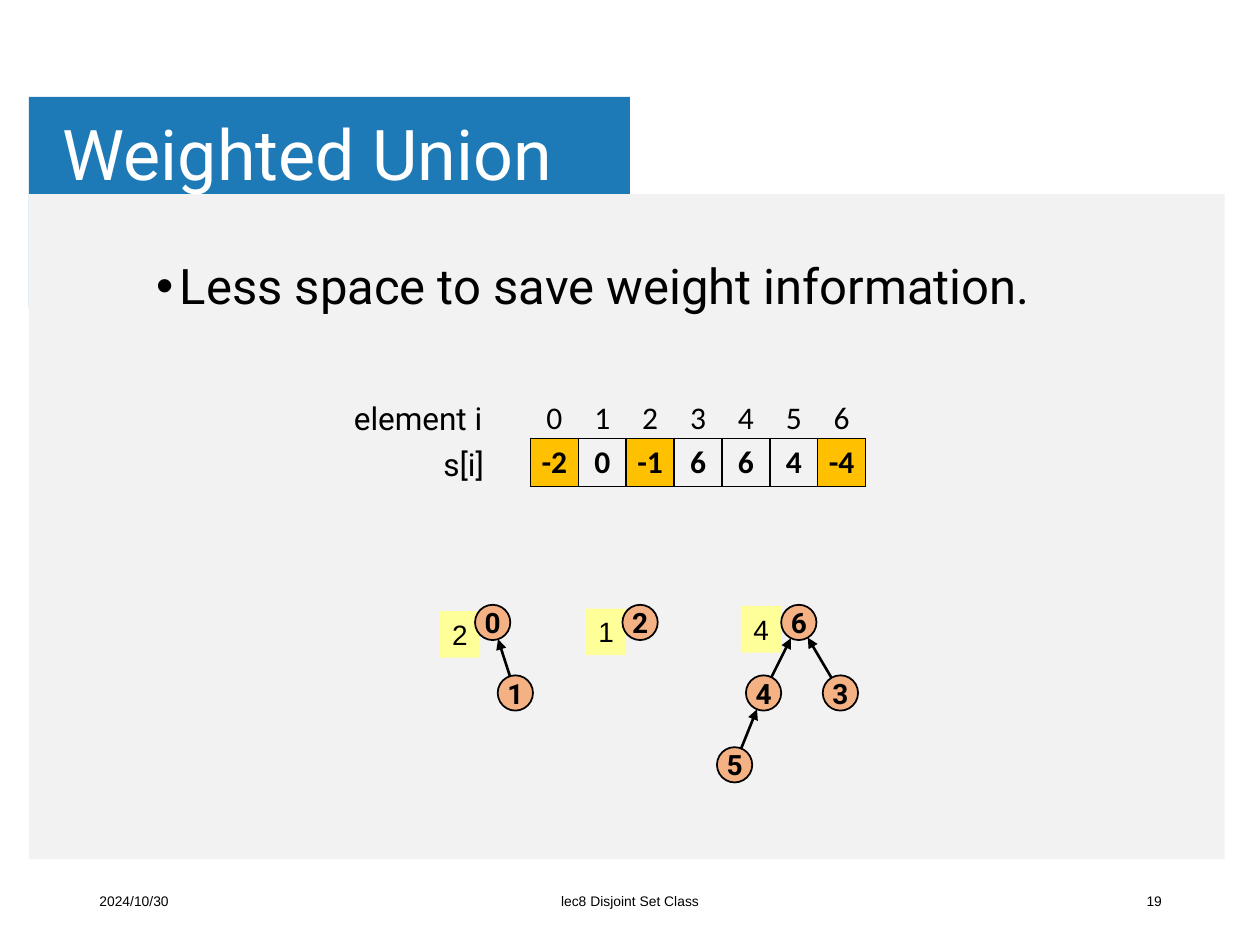
import math
from dataclasses import dataclass

from lxml import etree
from pptx import Presentation
from pptx.dml.color import RGBColor
from pptx.enum.shapes import MSO_CONNECTOR, MSO_SHAPE
from pptx.enum.text import MSO_ANCHOR, MSO_AUTO_SIZE, PP_ALIGN
from pptx.oxml.ns import qn
from pptx.util import Inches, Pt

RECT, OVAL = MSO_SHAPE.RECTANGLE, MSO_SHAPE.OVAL
STRAIGHT = MSO_CONNECTOR.STRAIGHT
TOP, MIDDLE = MSO_ANCHOR.TOP, MSO_ANCHOR.MIDDLE
LEFT, CENTER, RIGHT = PP_ALIGN.LEFT, PP_ALIGN.CENTER, PP_ALIGN.RIGHT
GROW = MSO_AUTO_SIZE.SHAPE_TO_FIT_TEXT

COLORS = {
    "banner": "1E7AB6", "panel": "F2F2F2", "white": "FFFFFF", "black": "000000",
    "root": "FFC000", "weight": "FFFF99", "node": "F4B183",
}
PLAIN_TABLE_STYLE = "{2D5ABB26-0587-4C30-8999-92F81FD0307C}"
NODE_SIZE = 0.28
CELL_SIZE = 0.38
TABLE_LEFT = 4.21


@dataclass
class Node:
    label: str
    left: float
    top: float
    parent: str = ""

    @property
    def center(self) -> tuple[float, float]:
        return self.left + NODE_SIZE / 2, self.top + NODE_SIZE / 2


@dataclass
class Weight:
    label: str
    left: float
    top: float


NODES = [
    Node("0", 3.77, 4.8), Node("1", 3.95, 5.36, "0"), Node("2", 4.94, 4.8),
    Node("3", 6.53, 5.36, "6"), Node("4", 5.92, 5.36, "6"),
    Node("5", 5.69, 5.93, "4"), Node("6", 6.2, 4.8),
]
WEIGHTS = [Weight("2", 3.49, 4.85), Weight("4", 5.88, 4.81), Weight("1", 4.65, 4.83)]
PARENTS = ["-2", "0", "-1", "6", "6", "4", "-4"]


def color(name: str) -> RGBColor:
    return RGBColor.from_string(COLORS[name])


def write(frame, text: str, *, size: float, font="Roboto", ink="black", bold=False,
          align=LEFT, anchor=TOP, wrap=True, line_spacing=None, bullet_indent=None) -> None:
    frame.word_wrap = wrap
    frame.vertical_anchor = anchor
    paragraph = frame.paragraphs[0]
    if bullet_indent:
        properties = paragraph._p.get_or_add_pPr()
        properties.set("marL", str(Inches(bullet_indent)))
        properties.set("indent", str(-Inches(bullet_indent)))
        etree.SubElement(properties, qn("a:buFont"), typeface="Arial")
        etree.SubElement(properties, qn("a:buChar"), char="•")
    paragraph.alignment = align
    if line_spacing:
        paragraph.line_spacing = line_spacing
    run = paragraph.add_run()
    run.text = text
    run.font.size = Pt(size)
    run.font.name = font
    run.font.bold = bold
    run.font.color.rgb = color(ink)


def add_text(slide, text: str, left: float, top: float, width: float, height: float,
             **text_format):
    box = slide.shapes.add_textbox(Inches(left), Inches(top), Inches(width), Inches(height))
    write(box.text_frame, text, **text_format)
    return box.text_frame


def add_filled(slide, kind, left: float, top: float, width: float, height: float,
               fill: str, outlined=False):
    shape = slide.shapes.add_shape(kind, Inches(left), Inches(top), Inches(width), Inches(height))
    shape.shadow.inherit = False
    shape.fill.solid()
    shape.fill.fore_color.rgb = color(fill)
    if outlined:
        shape.line.color.rgb = color("black")
        shape.line.width = Pt(1)
    else:
        shape.line.fill.background()
    return shape


def add_borders(cell) -> None:
    properties = cell._tc.get_or_add_tcPr()
    for side in ("lnL", "lnR", "lnT", "lnB"):
        border = etree.SubElement(properties, qn(f"a:{side}"), w=str(Pt(1)))
        fill = etree.SubElement(border, qn("a:solidFill"))
        etree.SubElement(fill, qn("a:srgbClr"), val=COLORS["black"])


def add_array(slide, values: list[str], top: float, boxed: bool) -> None:
    """Draw one row of values; a boxed row has borders and highlights its roots."""
    frame = slide.shapes.add_table(1, len(values), Inches(TABLE_LEFT), Inches(top),
                                   Inches(CELL_SIZE * len(values)), Inches(CELL_SIZE))
    table = frame.table
    table.first_row = table.horz_banding = False
    table._tbl.tblPr.find(qn("a:tableStyleId")).text = PLAIN_TABLE_STYLE
    for column, value in enumerate(values):
        table.columns[column].width = Inches(CELL_SIZE)
        cell = table.cell(0, column)
        cell.margin_left = cell.margin_right = Inches(0.07)
        cell.margin_top = cell.margin_bottom = Inches(0.04)
        if boxed:
            add_borders(cell)
        if value.startswith("-"):
            cell.fill.solid()
            cell.fill.fore_color.rgb = color("root")
        else:
            cell.fill.background()
        write(cell.text_frame, value, size=18, font="Calibri", bold=boxed, align=CENTER)


def add_edge(slide, child: Node, parent: Node) -> None:
    """Draw an arrow from the rim of the child to the rim of its parent."""
    (x1, y1), (x2, y2) = child.center, parent.center
    trim = NODE_SIZE / 2 / math.dist(child.center, parent.center)
    dx, dy = (x2 - x1) * trim, (y2 - y1) * trim
    edge = slide.shapes.add_connector(STRAIGHT, Inches(x1 + dx), Inches(y1 + dy),
                                      Inches(x2 - dx), Inches(y2 - dy))
    edge.line.color.rgb = color("black")
    edge.line.width = Pt(1.5)
    etree.SubElement(edge.line._get_or_add_ln(), qn("a:tailEnd"), type="triangle")
    etree.SubElement(edge._element.spPr, qn("a:effectLst"))


def add_forest(slide) -> None:
    for weight in WEIGHTS:
        tag = add_filled(slide, RECT, weight.left, weight.top, 0.32, 0.37, "weight")
        write(tag.text_frame, weight.label, size=16, font="Arial", wrap=False)
        tag.text_frame.auto_size = GROW
    for node in NODES:
        circle = add_filled(slide, OVAL, node.left, node.top, NODE_SIZE, NODE_SIZE,
                            "node", outlined=True)
        write(circle.text_frame, node.label, size=16, bold=True, align=CENTER,
              anchor=MIDDLE, wrap=False)
    by_label = {node.label: node for node in NODES}
    for node in NODES:
        if node.parent:
            add_edge(slide, node, by_label[node.parent])


def main() -> None:
    presentation = Presentation()
    presentation.slide_width, presentation.slide_height = Inches(10), Inches(7.5)
    slide = presentation.slides.add_slide(presentation.slide_layouts[6])

    add_filled(slide, RECT, 0.23, 0.77, 4.77, 1.67, "banner")
    add_filled(slide, RECT, 0.23, 1.54, 9.49, 5.28, "panel")
    title = add_text(slide, "Weighted Union", 0.43, 0.76, 8.03, 0.98, size=40,
                     ink="white", anchor=MIDDLE, line_spacing=0.9)
    title.margin_left = title.margin_right = Inches(0.07)
    title.margin_top = title.margin_bottom = Inches(0.04)

    for text, left, width, align in (("2024/10/30", 0.69, 2.25, LEFT),
                                     ("lec8 Disjoint Set Class", 3.31, 3.38, CENTER),
                                     ("19", 7.07, 2.25, RIGHT)):
        add_text(slide, text, left, 6.95, width, 0.4, size=7.9, font="Arial",
                 align=align, anchor=MIDDLE)

    add_text(slide, "Less space to save weight information.", 1.14, 2.03, 7.86, 0.55,
             size=28, line_spacing=0.9, bullet_indent=0.19)

    add_array(slide, PARENTS, 3.48, boxed=True)
    add_array(slide, [str(i) for i in range(len(PARENTS))], 3.13, boxed=False)
    for text, left, top, width in (("element i", 2.71, 3.12, 1.29), ("s[i]", 3.42, 3.48, 0.61)):
        label = add_text(slide, text, left, top, width, 0.4, size=18, wrap=False)
        label.auto_size = GROW

    add_forest(slide)
    presentation.save("out.pptx")


if __name__ == "__main__":
    main()
